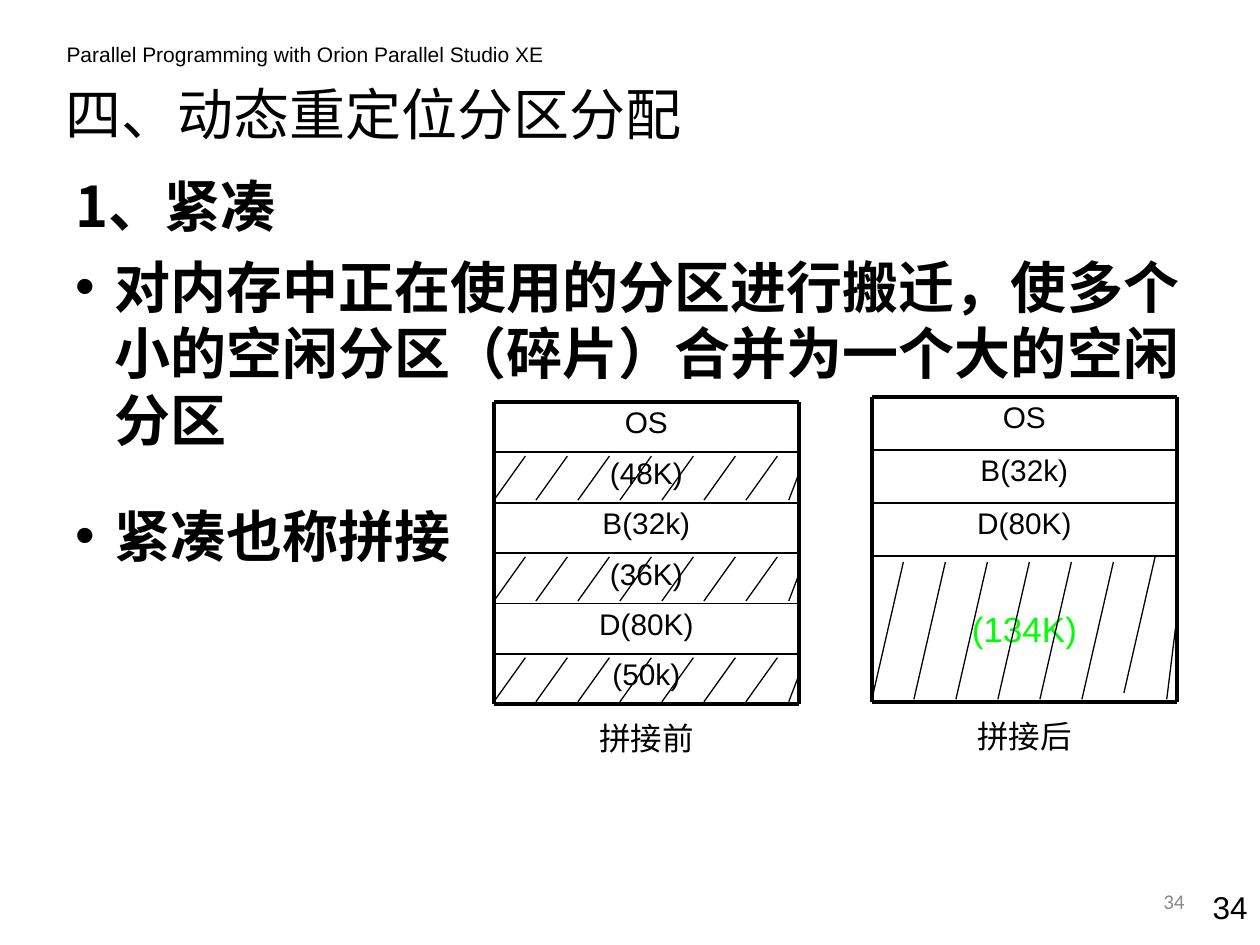
from dataclasses import dataclass
from itertools import accumulate

from lxml import etree
from pptx import Presentation
from pptx import util as u
from pptx.dml.color import RGBColor
from pptx.enum import shapes, text
from pptx.oxml import ns

In = u.Inches


@dataclass
class Theme:
    """Colours, fonts, type sizes and line weights."""

    ink: str = "000000"
    free: str = "00FF00"
    muted: str = "898989"
    latin: str = "Arial"
    footer: str = "Calibri"
    cjk: str = "Noto Sans CJK SC"
    heading: float = 32
    total: float = 20
    caption: float = 18
    cell: float = 17
    small: float = 12
    frame: float = 2.25
    rule: float = 1
    hatch: float = 0.75


def assign(target, values):
    """Set each named attribute on the target."""
    for name, value in values.items():
        setattr(target, name, value)


class Deck:
    """Holds the theme and the current slide."""

    def __init__(self, theme):
        self.theme = theme
        self.show = Presentation()
        assign(self.show, {"slide_width": In(10), "slide_height": In(7.5)})
        self.slide = self.show.slides.add_slide(self.show.slide_layouts[1])

    def add_words(self, paragraph, wording, size, font, colour, bold=False):
        """Add a run with Latin and East Asian fonts."""
        run = paragraph.add_run()
        run.text = wording
        assign(run.font, {"size": u.Pt(size), "name": font, "bold": bold})
        run.font.color.rgb = RGBColor.from_string(colour)
        east = etree.SubElement(run.font._element, ns.qn("a:ea"))
        east.set("typeface", self.theme.cjk)

    def place(self, holder, left, top, width, height):
        """Move a placeholder and fix its text frame."""
        assign(holder, {"left": In(left), "top": In(top),
                        "width": In(width), "height": In(height)})
        assign(holder.text_frame, {"word_wrap": True, "auto_size": text.MSO_AUTO_SIZE.NONE})
        return holder.text_frame

    def title(self, wording, *box):
        """Fill the title placeholder."""
        heading = self.place(self.slide.shapes.title, *box).paragraphs[0]
        heading.alignment = text.PP_ALIGN.LEFT
        self.add_words(heading, wording, self.theme.heading, self.theme.cjk, self.theme.ink)

    def body(self, points, *box):
        """Fill the body placeholder from (wording, bullet, space before)."""
        frame = self.place(self.slide.placeholders[1], *box)
        for index, (wording, bullet, before) in enumerate(points):
            point = frame.add_paragraph() if index else frame.paragraphs[0]
            props = point._p.get_or_add_pPr()
            props.set("marL", str(In(0.31)))
            props.set("indent", str(-In(0.31)))
            if bullet:
                etree.SubElement(props, ns.qn("a:buFont")).set("typeface", self.theme.latin)
                etree.SubElement(props, ns.qn("a:buChar")).set("char", bullet)
            else:
                etree.SubElement(props, ns.qn("a:buNone"))
            assign(point, {"space_before": u.Pt(before), "line_spacing": u.Pt(38)})
            self.add_words(point, wording, self.theme.heading, self.theme.cjk,
                           self.theme.ink, bold=True)

    def label(self, wording, left, top, width, height, size, align="CENTER",
              anchor="TOP", colour=None, font=None, spacing=1.0, parent=None):
        """Add a one-line text box to the slide or to a group."""
        home = parent or self.slide
        frame = home.shapes.add_textbox(In(left), In(top), In(width), In(height)).text_frame
        assign(frame, {"word_wrap": True,
                       "vertical_anchor": getattr(text.MSO_ANCHOR, anchor)})
        line = frame.paragraphs[0]
        assign(line, {"alignment": getattr(text.PP_ALIGN, align), "line_spacing": spacing})
        self.add_words(line, wording, size, font or self.theme.latin, colour or self.theme.ink)

    def line(self, group, x1, y1, x2, y2, weight):
        """Add a straight line without a shadow."""
        stroke = group.shapes.add_connector(
            shapes.MSO_CONNECTOR.STRAIGHT, In(x1), In(y1), In(x2), In(y2))
        stroke.line.width = u.Pt(weight)
        stroke.line.color.rgb = RGBColor.from_string(self.theme.ink)
        etree.SubElement(stroke._element.spPr, ns.qn("a:effectLst"))

    def hatch(self, group, left, right, top, bottom, cut, raised):
        """Slant seven strokes across a free partition, plus one cut at its edge."""
        for step in range(7):
            foot = left + step / 3
            lift = raised if step == 6 else 0
            self.line(group, foot + 0.25, top - lift, foot, bottom - lift, self.theme.hatch)
        self.line(group, right, top + cut, right - 0.08, bottom, self.theme.hatch)

    def memory(self, caption, left, top, partitions, gap, cut, raised=0):
        """Draw a memory map from (wording, height, free, label style) rows."""
        group = self.slide.shapes.add_group_shape()
        width = 2.42
        right = left + width
        edges = list(accumulate((row[1] for row in partitions), initial=top))
        bottom = edges[-1]
        for (wording, height, _, style), edge in zip(partitions, edges):
            look = {"size": self.theme.cell, "spacing": 0.9, **style}
            self.label(wording, left, edge, width, height, parent=group, **look)
        for edge in edges:
            weight = self.theme.frame if edge in (top, bottom) else self.theme.rule
            self.line(group, left, edge, right, edge, weight)
        for side in (left, right):
            self.line(group, side, top, side, bottom, self.theme.frame)
        for (_, height, free, _), edge in zip(partitions, edges):
            if free:
                self.hatch(group, left, right, edge + gap, edge + height - 0.02, cut, raised)
        self.label(caption, left, bottom + 0.07, width, 0.4, self.theme.caption, parent=group)


def main():
    """Build and save the slide."""
    theme = Theme()
    deck = Deck(theme)
    deck.label("Parallel Programming with Orion Parallel Studio XE",
               0.43, 0.28, 4.1, 0.3, theme.small, align="LEFT")
    deck.title("四、动态重定位分区分配", 0.42, 0.52, 5.67, 0.75)
    deck.label("34", 9.33, 7, 0.67, 0.4, theme.caption, align="RIGHT")
    deck.body([
        ("1、紧凑", None, 0),
        ("对内存中正在使用的分区进行搬迁，使多个小的空闲分区（碎片）合并为一个大的空闲分区", "•", 8),
        ("紧凑也称拼接", "•", 28),
    ], 0.5, 1.32, 9.25, 4.58)

    before = [("OS", False), ("(48K)", True), ("B(32k)", False),
              ("(36K)", True), ("D(80K)", False), ("(50k)", True)]
    deck.memory("拼接前", 3.92, 3.19, [(name, 0.4, free, {}) for name, free in before],
                gap=0.03, cut=0.14)
    after = [(name, 0.42, False, {}) for name in ("OS", "B(32k)", "D(80K)")]
    merged = {"size": theme.total, "colour": theme.free, "anchor": "MIDDLE", "spacing": 1.0}
    deck.memory("拼接后", 6.92, 3.15, after + [("(134K)", 1.16, True, merged)],
                gap=0.05, cut=0.44, raised=0.05)

    deck.label("34", 7.17, 6.95, 2.33, 0.4, theme.small, align="RIGHT",
               anchor="MIDDLE", colour=theme.muted, font=theme.footer)
    deck.show.save("out.pptx")


if __name__ == "__main__":
    main()
